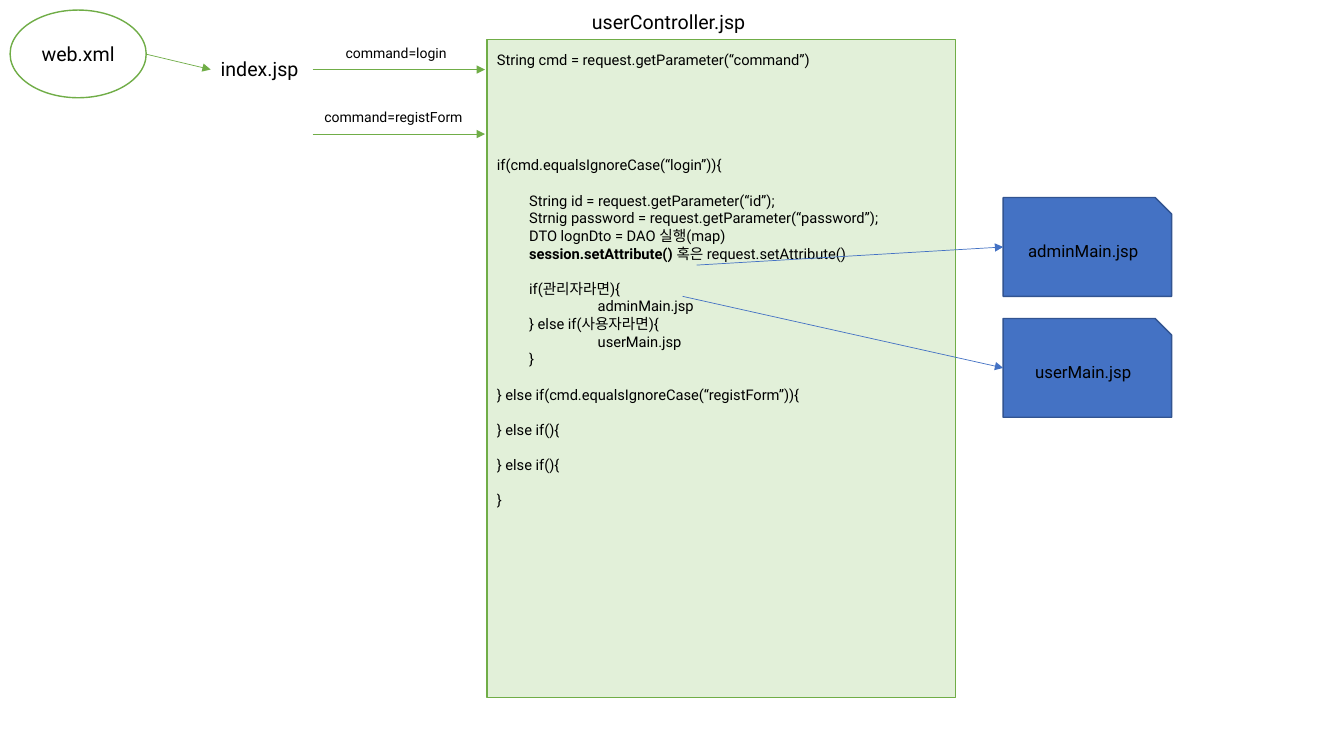
from dataclasses import dataclass

from pptx import Presentation
from pptx.dml.color import RGBColor
from pptx.enum.shapes import MSO_CONNECTOR, MSO_SHAPE
from pptx.enum.text import MSO_ANCHOR, MSO_AUTO_SIZE, PP_ALIGN
from pptx.oxml.ns import qn
from pptx.util import Inches, Pt
from lxml.etree import SubElement

FONT = "Roboto"
BLACK, WHITE = "000000", "FFFFFF"
GREEN, PALE = "70AD47", "E2F0D9"
BLUE, NAVY = "4472C4", "325491"
CODE_SIZE = 10.5
PITCH = 12.6  # height of one code line in points
INDENTS = (0, 0.32, 1)


@dataclass
class Box:
    """A filled shape with a caption."""
    kind: MSO_SHAPE
    left: float
    top: float
    width: float
    height: float
    fill: str
    edge: str
    text: str = ""
    size: float = 12


@dataclass
class Label:
    """A line of text without a frame."""
    text: str
    left: float
    top: float
    width: float
    height: float
    size: float


@dataclass
class Arrow:
    """A straight arrow between two points."""
    start: tuple[float, float]
    end: tuple[float, float]
    color: str


@dataclass
class Code:
    """A code line: runs of (text, bold), indent level, empty lines above."""
    runs: list[tuple[str, bool]]
    level: int = 0
    gap: int = 0


def rgb(color: str) -> RGBColor:
    """Turn a hex string into a colour."""
    return RGBColor.from_string(color)


def add_run(para, text: str, size: float, bold: bool = False) -> None:
    """Append one formatted run."""
    run = para.add_run()
    run.text = text
    run.font.name, run.font.size = FONT, Pt(size)
    run.font.bold = bold
    run.font.color.rgb = rgb(BLACK)


def add_box(slide, box: Box):
    """Draw a shape with its centred caption."""
    shape = slide.shapes.add_shape(
        box.kind, *map(Inches, (box.left, box.top, box.width, box.height)))
    shape.shadow.inherit = False
    shape.fill.solid()
    shape.fill.fore_color.rgb = rgb(box.fill)
    shape.line.color.rgb = rgb(box.edge)
    shape.line.width = Pt(1)
    if box.text:
        shape.text_frame.vertical_anchor = MSO_ANCHOR.MIDDLE
        para = shape.text_frame.paragraphs[0]
        para.alignment = PP_ALIGN.CENTER
        add_run(para, box.text, box.size)
    return shape


def set_label(shape, label: Label) -> None:
    """Place and format a text box or the title."""
    shape.left, shape.top = Inches(label.left), Inches(label.top)
    shape.width, shape.height = Inches(label.width), Inches(label.height)
    frame = shape.text_frame
    frame.word_wrap = False
    frame.auto_size = MSO_AUTO_SIZE.SHAPE_TO_FIT_TEXT
    frame.vertical_anchor = MSO_ANCHOR.TOP
    para = frame.paragraphs[0]
    para.alignment = PP_ALIGN.LEFT
    para.line_spacing, para.space_before = 1.0, Pt(0)
    add_run(para, label.text, label.size)


def add_arrow(slide, arrow: Arrow) -> None:
    """Draw a thin line with a triangle at its end."""
    line = slide.shapes.add_connector(
        MSO_CONNECTOR.STRAIGHT, *map(Inches, arrow.start + arrow.end))
    line.line.color.rgb = rgb(arrow.color)
    line.line.width = Pt(0.5)
    props = line._element.spPr
    SubElement(props.find(qn("a:ln")), qn("a:tailEnd"), type="triangle")
    SubElement(props, qn("a:effectLst"))


def add_code(shape, lines: list[Code]) -> None:
    """Write the code lines from the top of a shape."""
    frame = shape.text_frame
    frame.word_wrap = True
    frame.vertical_anchor = MSO_ANCHOR.TOP
    frame.margin_top = Inches(0.11)
    for i, line in enumerate(lines):
        para = frame.add_paragraph() if i else frame.paragraphs[0]
        para.alignment = PP_ALIGN.LEFT
        para.space_before = Pt(line.gap * PITCH)
        props = para._p.get_or_add_pPr()
        props.set("marL", str(Inches(INDENTS[line.level])))
        props.set("indent", "0")
        for text, bold in line.runs:
            add_run(para, text, CODE_SIZE, bold)


def plain(text: str, level: int = 0, gap: int = 0) -> Code:
    """Make a code line of one regular run."""
    return Code([(text, False)], level, gap)


PANEL = Box(MSO_SHAPE.RECTANGLE, 4.83, 0.39, 4.65, 6.53, PALE, GREEN)
CODE = [
    plain("String cmd = request.getParameter(“command”)"),
    plain("if(cmd.equalsIgnoreCase(“login”)){", gap=5),
    plain("String id = request.getParameter(“id”);", 1, 1),
    plain("Strnig password = request.getParameter(“password”);", 1),
    plain("DTO lognDto = DAO 실행(map)", 1),
    Code([("session.setAttribute() ", True),
          ("혹은 request.setAttribute()", False)], 1),
    plain("if(관리자라면){", 1, 1),
    plain("adminMain.jsp", 2),
    plain("} else if(사용자라면){", 1),
    plain("userMain.jsp", 2),
    plain("}", 1),
    plain("} else if(cmd.equalsIgnoreCase(“registForm”)){", gap=1),
    plain("} else if(){", gap=1),
    plain("} else if(){", gap=1),
    plain("}", gap=1),
]
START = Box(MSO_SHAPE.OVAL, 0.1, 0.1, 1.35, 0.87, WHITE, GREEN, "web.xml", 14)
PAGES = [Box(MSO_SHAPE.SNIP_1_RECTANGLE, 9.95, 1.96 + 1.2 * i, 1.67, 0.98,
             BLUE, NAVY, name)
         for i, name in enumerate(("adminMain.jsp", "userMain.jsp"))]
TITLE = Label("userController.jsp", 5.77, 0.05, 1.79, 0.34, 14)
LABELS = [
    Label("index.jsp", 2.09, 0.52, 1, 0.34, 14),
    Label("command=login", 3.33, 0.39, 1.25, 0.27, 10),
    Label("command=registForm", 3.12, 1.03, 1.66, 0.27, 10),
]
ARROWS = [
    Arrow((1.46, 0.54), (2.09, 0.69), GREEN),
    *(Arrow((3.1, y), (4.81, y), GREEN) for y in (0.69, 1.33)),
    *(Arrow(start, (page.left, page.top + page.height / 2), BLUE)
      for start, page in zip(((6.91, 2.63), (6.77, 2.94)), PAGES)),
]

deck = Presentation()
deck.slide_width, deck.slide_height = Inches(13.33), Inches(7.5)
slide = deck.slides.add_slide(deck.slide_layouts[5])
set_label(slide.shapes.title, TITLE)
add_code(add_box(slide, PANEL), CODE)
for box in (START, *PAGES):
    add_box(slide, box)
for label in LABELS:
    set_label(slide.shapes.add_textbox(0, 0, 0, 0), label)
for arrow in ARROWS:
    add_arrow(slide, arrow)
deck.save("out.pptx")
